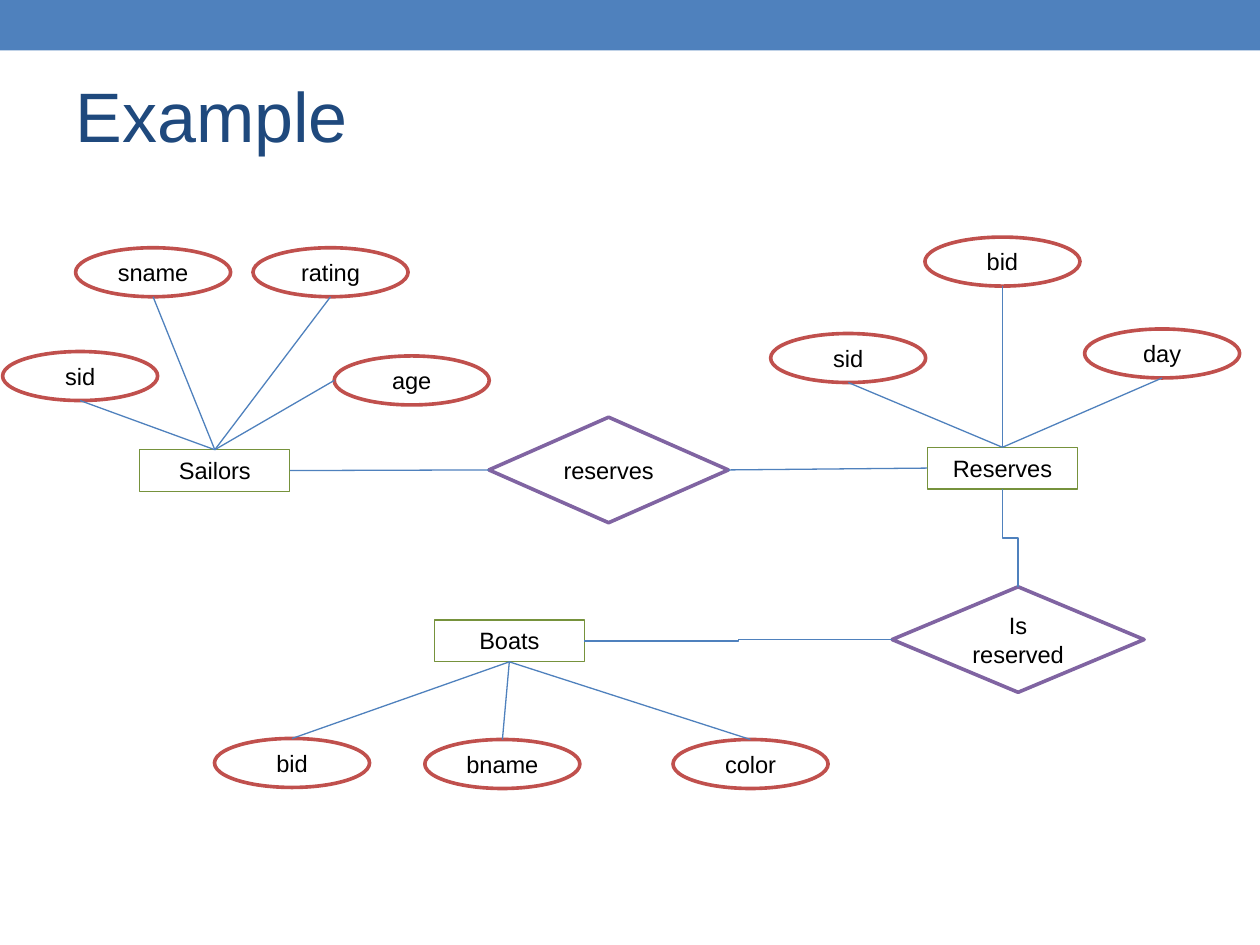
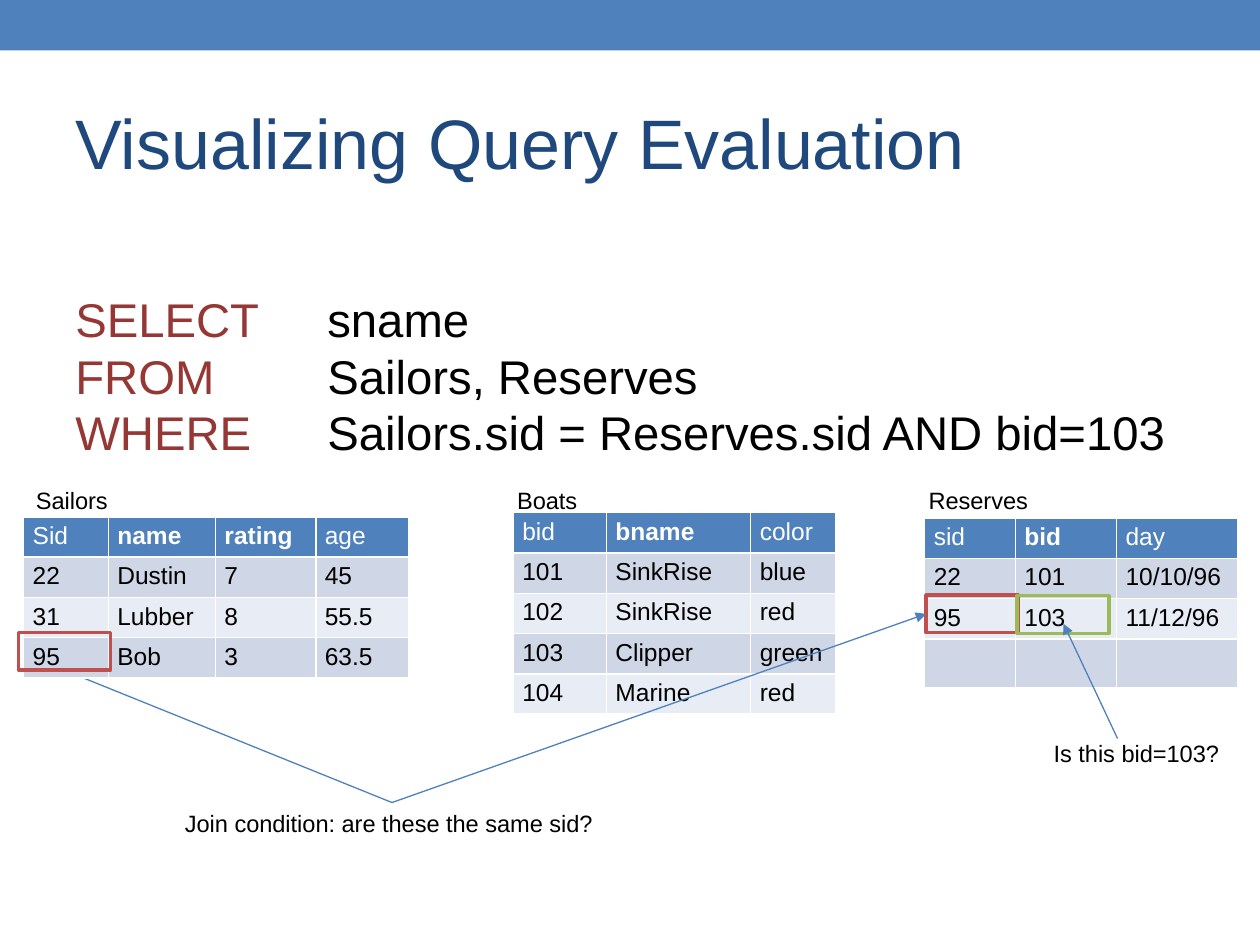
"""Build two slides on an entity-relationship model and the evaluation of a query."""
from typing import Any, NamedTuple

import pptx
import pptx.dml.color
import pptx.enum.shapes
import pptx.enum.text
import pptx.oxml
import pptx.oxml.ns
import pptx.util

Pt = pptx.util.Pt
Form = pptx.enum.shapes.MSO_SHAPE
Link = pptx.enum.shapes.MSO_CONNECTOR
Anchor = pptx.enum.text.MSO_ANCHOR
Align = pptx.enum.text.PP_ALIGN
qn = pptx.oxml.ns.qn

FONT = "Arial"
SMALL = 13.5
TOP, LEFT, BOTTOM, RIGHT = range(4)
COLORS = {
    "blue": "4F81BD",
    "navy": "1F497D",
    "red": "C0504D",
    "wine": "953734",
    "olive": "76923C",
    "green": "9BBB59",
    "purple": "8064A2",
    "black": "000000",
    "white": "FFFFFF",
    "dark": "CFD7E7",
    "light": "E8ECF4",
}


class Box(NamedTuple):
    left: float
    top: float
    width: float
    height: float


class Style(NamedTuple):
    form: Any
    color: str
    weight: float
    anchor: Any


class Trait(NamedTuple):
    text: str
    left: float
    top: float
    side: int


class Entity(NamedTuple):
    text: str
    left: float
    top: float
    side: int
    traits: list[Trait]


class Grid(NamedTuple):
    name: str
    label: Box
    left: float
    top: float
    widths: list[float]
    rows: list[str]


ENTITY = Style(Form.RECTANGLE, "olive", 0.75, Anchor.TOP)
TRAIT = Style(Form.OVAL, "red", 2.08, Anchor.MIDDLE)
BOND = Style(Form.DIAMOND, "purple", 2.08, Anchor.MIDDLE)

ENTITIES = [
    Entity("Sailors", 79.9, 257, TOP, [
        Trait("sname", 43.2, 141.6, BOTTOM),
        Trait("rating", 144.6, 141.6, BOTTOM),
        Trait("sid", 1.5, 200.9, BOTTOM),
        Trait("age", 191, 203.4, LEFT),
    ]),
    Entity("Reserves", 530, 255.6, TOP, [
        Trait("bid", 528.55, 135.5, BOTTOM),
        Trait("day", 619.8, 188, BOTTOM),
        Trait("sid", 440.4, 190.6, BOTTOM),
    ]),
    Entity("Boats", 248.2, 354.4, BOTTOM, [
        Trait("bid", 122.6, 422, TOP),
        Trait("bname", 242.8, 422.6, TOP),
        Trait("color", 384.6, 422.6, TOP),
    ]),
]

GRIDS = [
    Grid("Sailors", Box(13.4, 274.3, 56.2, 23.8), 13.5, 295.3, [48.4, 61.2, 57.4, 53.3],
         ["Sid|name|rating|age", "22|Dustin|7|45", "31|Lubber|8|55.5", "95|Bob|3|63.5"]),
    Grid("Reserves", Box(523.6, 274.3, 72, 23.8), 528.4, 296, [51.8, 57.8, 69.2],
         ["sid|bid|day", "22|101|10/10/96", "95|103|11/12/96", "||"]),
    Grid("Boats", Box(288.4, 274.3, 49.7, 23.8), 293.3, 293, [53.2, 82.5, 48.4],
         ["bid|bname|color", "101|SinkRise|blue", "102|SinkRise|red",
          "103|Clipper|green", "104|Marine|red"]),
]

QUERY = [
    ("SELECT", "sname"),
    ("FROM", "Sailors, Reserves"),
    ("WHERE", "Sailors.sid = Reserves.sid AND bid=103"),
]


def rgb(color: str) -> Any:
    return pptx.dml.color.RGBColor.from_string(COLORS[color])


def place(box: Box) -> list[int]:
    return [Pt(length) for length in box]


def make(tag: str, inner: str = "") -> Any:
    name = tag.split()[0]
    return pptx.oxml.parse_xml(f'<a:{tag} {pptx.oxml.ns.nsdecls("a")}>{inner}</a:{name}>')


def dress(font: Any, size: float, color: str | None = "black", bold: bool = False) -> None:
    font.name, font.size, font.bold = FONT, Pt(size), bold
    if color:
        font.color.rgb = rgb(color)


def add_form(slide: Any, style: Style, box: Box, text: str = "") -> Any:
    shape = slide.shapes.add_shape(style.form, *place(box))
    shape.shadow.inherit = False
    shape.fill.background()
    shape.line.color.rgb = rgb(style.color)
    shape.line.width = Pt(style.weight)
    if text:
        frame = shape.text_frame
        frame.text, frame.vertical_anchor = text, style.anchor
        frame.paragraphs[0].alignment = Align.CENTER
        dress(frame.paragraphs[0].font, SMALL)
    return shape


def add_line(slide: Any, start: tuple, end: tuple, kind: Any = Link.STRAIGHT,
             arrow: bool = False) -> Any:
    line = slide.shapes.add_connector(kind, *start, *end)
    line.line.color.rgb = rgb("blue")
    line.line.width = Pt(0.75)
    props = line.element.spPr
    if arrow:
        props.find(qn("a:ln")).append(make('tailEnd type="triangle"'))
    props.append(make("effectLst"))
    return line


def spot(shape: Any, side: int) -> tuple[int, int]:
    across = {LEFT: 0, RIGHT: shape.width}.get(side, shape.width // 2)
    down = {TOP: 0, BOTTOM: shape.height}.get(side, shape.height // 2)
    return shape.left + across, shape.top + down


def join(slide: Any, first: Any, out: int, last: Any, into: int) -> None:
    line = add_line(slide, spot(first, out), spot(last, into))
    line.begin_connect(first, out)
    line.end_connect(last, into)


def add_note(slide: Any, text: str, box: Box) -> None:
    frame = slide.shapes.add_textbox(*place(box)).text_frame
    frame.word_wrap, frame.text = True, text
    dress(frame.paragraphs[0].font, SMALL)


def add_band(deck: Any, slide: Any) -> None:
    band = slide.shapes.add_shape(Form.RECTANGLE, *place(Box(0, 0, 720, 28.8)))
    band.shadow.inherit = False
    band.fill.solid()
    band.fill.fore_color.rgb = rgb("blue")
    band.line.fill.background()
    deck.slide_master.shapes[0].element.addprevious(band.element)


def add_slide(deck: Any, text: str, box: Box) -> Any:
    slide = deck.slides.add_slide(deck.slide_layouts[5])
    title = slide.shapes.title
    title.left, title.top, title.width, title.height = place(box)
    title.text_frame.text = text
    title.text_frame.vertical_anchor = Anchor.MIDDLE
    title.text_frame.paragraphs[0].alignment = Align.LEFT
    dress(title.text_frame.paragraphs[0].font, 40, "navy")
    return slide


def add_entity(slide: Any, entity: Entity) -> Any:
    shape = add_form(slide, ENTITY, Box(entity.left, entity.top, 85.7, 23.8), entity.text)
    for trait in entity.traits:
        oval = add_form(slide, TRAIT, Box(trait.left, trait.top, 88.6, 28), trait.text)
        line = add_line(slide, spot(oval, trait.side), spot(shape, entity.side))
        line.end_connect(shape, entity.side)
    return shape


def add_grid(slide: Any, grid: Grid) -> None:
    row_height = 21.6
    box = Box(grid.left, grid.top, sum(grid.widths), row_height * len(grid.rows))
    table = slide.shapes.add_table(len(grid.rows), len(grid.widths), *place(box)).table
    for column, width in zip(table.columns, grid.widths):
        column.width = Pt(width)
    for i, row in enumerate(grid.rows):
        table.rows[i].height = Pt(row_height)
        fill = "blue" if i == 0 else ("light", "dark")[i % 2]
        for j, text in enumerate(row.split("|")):
            cell = table.cell(i, j)
            cell.margin_left = cell.margin_right = Pt(5.2)
            cell.margin_top = cell.margin_bottom = Pt(3.1)
            cell.fill.solid()
            cell.fill.fore_color.rgb = rgb(fill)
            cell.text = text
            bold = i == 0 and 0 < j < len(grid.widths) - 1
            dress(cell.text_frame.paragraphs[0].font, 14 if text else 18,
                  "black" if i else "white", bold)
    add_note(slide, grid.name, grid.label)


def add_query(slide: Any) -> None:
    frame = slide.shapes.add_textbox(*place(Box(36, 162.2, 643, 105))).text_frame
    frame.word_wrap = True
    for i, (word, rest) in enumerate(QUERY):
        line = frame.add_paragraph() if i else frame.paragraphs[0]
        stop = make("tabLst", f'<a:tab pos="{Pt(144)}" algn="l"/>')
        line._p.get_or_add_pPr().append(stop)
        dress(line.font, 27, None)
        for text, color in ((word + "\t", "wine"), (rest, "black")):
            run = line.add_run()
            run.text = text
            run.font.color.rgb = rgb(color)


def draw_model(deck: Any) -> None:
    slide = add_slide(deck, "Example", Box(36, 36.5, 648, 58.3))
    add_band(deck, slide)
    sailors, reserves, boats = [add_entity(slide, entity) for entity in ENTITIES]
    books = add_form(slide, BOND, Box(279.4, 238.4, 136.8, 60.3), "reserves")
    booked = add_form(slide, BOND, Box(509.8, 335.3, 144, 60.3), "Is reserved")
    join(slide, sailors, RIGHT, books, LEFT)
    join(slide, books, RIGHT, reserves, LEFT)
    add_line(slide, spot(boats, RIGHT), spot(booked, LEFT), Link.ELBOW)

    (x1, y1), (x2, y2) = spot(booked, TOP), spot(reserves, BOTTOM)
    mid_x, mid_y = (x1 + x2) // 2, (y1 + y2) // 2
    half, rise = (y1 - y2) // 2, (x1 - x2) // 2
    bent = add_line(slide, (mid_x + half, mid_y - rise), (mid_x - half, mid_y + rise), Link.ELBOW)
    bent.element.spPr.find(qn("a:xfrm")).set("rot", str(90 * 60000))


def draw_query(deck: Any) -> None:
    slide = add_slide(deck, "Visualizing Query Evaluation", Box(36, 42, 648, 78))
    add_query(slide)
    fork = Pt(224), Pt(458.6)
    add_line(slide, fork, (Pt(36.7), Pt(383)), arrow=True)
    add_note(slide, "Join condition: are these the same sid?", Box(98.6, 458.6, 250.6, 23.8))
    for grid in GRIDS:
        add_grid(slide, grid)
    red = Style(Form.RECTANGLE, "red", 2.08, Anchor.TOP)
    add_form(slide, red, Box(10.6, 361.4, 52.6, 21.6))
    match = add_form(slide, red, Box(529.2, 340, 52.6, 21.6))
    add_form(slide, red._replace(color="green"), Box(581.2, 340.4, 52.6, 21.6))
    add_line(slide, fork, spot(match, LEFT), arrow=True).end_connect(match, LEFT)
    add_note(slide, "Is this bid=103?", Box(595, 418.8, 121, 23.8))
    add_line(slide, (Pt(638.6), Pt(422)), (Pt(607.7), Pt(356.4)), arrow=True)


def main() -> None:
    deck = pptx.Presentation()
    deck.slide_width, deck.slide_height = Pt(720), Pt(540)
    draw_model(deck)
    draw_query(deck)
    deck.save("out.pptx")


if __name__ == "__main__":
    main()
